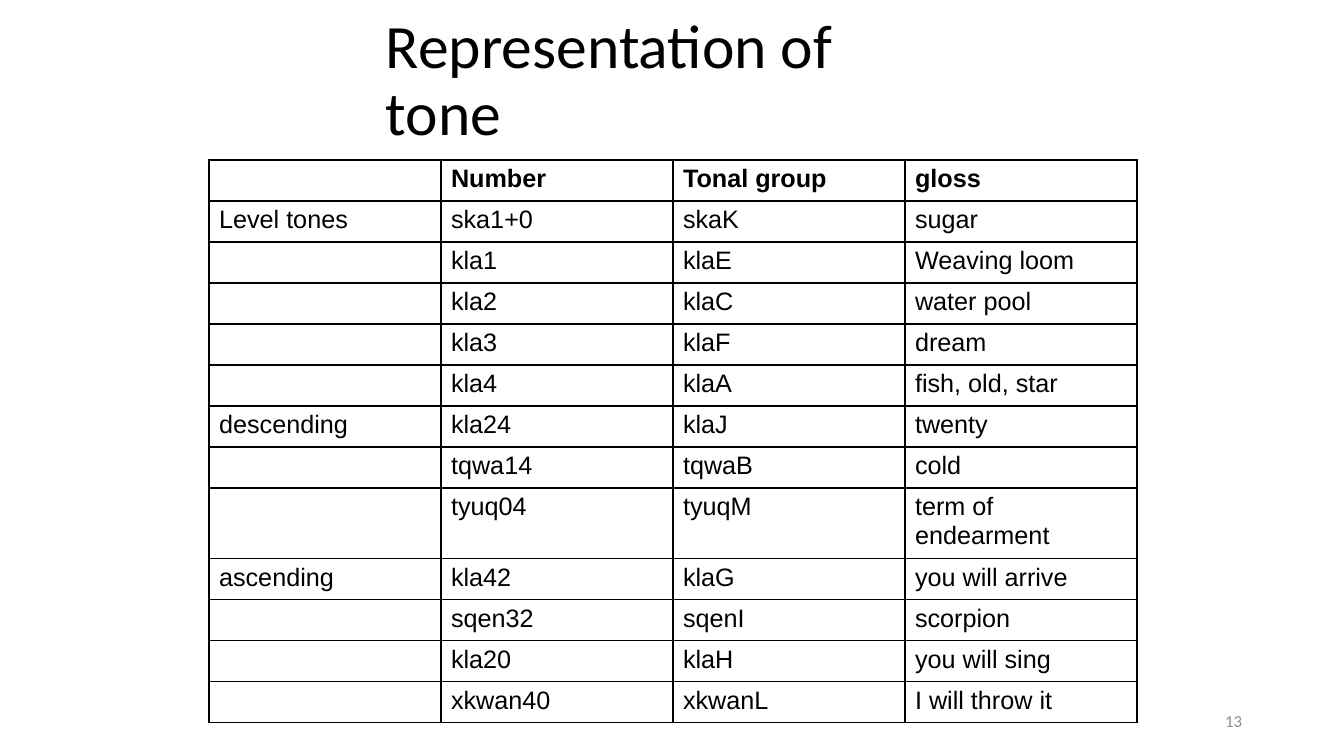
from lxml import etree
from pptx import Presentation
from pptx.dml.color import RGBColor
from pptx.enum.text import MSO_ANCHOR, PP_ALIGN
from pptx.oxml.ns import qn
from pptx.util import Pt

MIDDLE = MSO_ANCHOR.MIDDLE
LEFT, RIGHT = PP_ALIGN.LEFT, PP_ALIGN.RIGHT

TITLE = "Representation of tone"
PAGE_NUMBER = "13"
HEADER = ("", "Number", "Tonal group", "gloss")
TONE_GROUPS = {
    "Level tones": [
        ("ska1+0", "skaK", "sugar"),
        ("kla1", "klaE", "Weaving loom"),
        ("kla2", "klaC", "water pool"),
        ("kla3", "klaF", "dream"),
        ("kla4", "klaA", "fish, old, star"),
    ],
    "descending": [
        ("kla24", "klaJ", "twenty"),
        ("tqwa14", "tqwaB", "cold"),
        ("tyuq04", "tyuqM", "term of endearment"),
    ],
    "ascending": [
        ("kla42", "klaG", "you will arrive"),
        ("sqen32", "sqenI", "scorpion"),
        ("kla20", "klaH", "you will sing"),
        ("xkwan40", "xkwanL", "I will throw it"),
    ],
}

COLORS = {"text": "000000", "border": "000000", "number": "8C8C8C"}
TITLE_FONT = {"name": "Calibri", "size": Pt(44)}
NUMBER_FONT = {"name": "Calibri", "size": Pt(12)}
CELL_FONT = {"name": "Arial", "size": Pt(18)}

SLIDE_SIZE = (1344, 756)
TITLE_BOX = (376, 40, 591, 84)
NUMBER_BOX = (950, 701, 302, 40)
TABLE_LEFT, TABLE_TOP = 209, 160
COLUMN_WIDTH, ROW_HEIGHT = 232, 41
BORDER_WIDTH = Pt(1)


def px(length):
    return round(length * 914400 / 100.8)


def format_font(font, values, color):
    for name, value in values.items():
        setattr(font, name, value)
    font.color.rgb = RGBColor.from_string(COLORS[color])


def add_text(slide, box, text, font_values, color, alignment, line_spacing):
    frame = slide.shapes.add_textbox(*map(px, box)).text_frame
    frame.word_wrap = True
    frame.vertical_anchor = MIDDLE
    paragraph = frame.paragraphs[0]
    paragraph.alignment = alignment
    paragraph.line_spacing = line_spacing
    run = paragraph.add_run()
    run.text = text
    format_font(run.font, font_values, color)


def add_borders(cell):
    properties = cell._tc.get_or_add_tcPr()
    for side in ("a:lnL", "a:lnR", "a:lnT", "a:lnB"):
        line = etree.SubElement(properties, qn(side), w=str(BORDER_WIDTH))
        fill = etree.SubElement(line, qn("a:solidFill"))
        etree.SubElement(fill, qn("a:srgbClr"), val=COLORS["border"])


def add_tone_table(slide):
    rows = [HEADER]
    for group, tones in TONE_GROUPS.items():
        rows += [("" if index else group, *tone) for index, tone in enumerate(tones)]
    width, height = len(HEADER) * COLUMN_WIDTH, len(rows) * ROW_HEIGHT
    table = slide.shapes.add_table(
        len(rows), len(HEADER), *map(px, (TABLE_LEFT, TABLE_TOP, width, height))
    ).table
    table.first_row = True
    table.horz_banding = False
    for column in table.columns:
        column.width = px(COLUMN_WIDTH)
    for row_index, values in enumerate(rows):
        table.rows[row_index].height = px(ROW_HEIGHT)
        for column_index, text in enumerate(values):
            cell = table.cell(row_index, column_index)
            add_borders(cell)
            cell.fill.background()
            paragraph = cell.text_frame.paragraphs[0]
            if text:
                run = paragraph.add_run()
                run.text = text
                format_font(run.font, {**CELL_FONT, "bold": row_index == 0}, "text")


def main():
    presentation = Presentation()
    presentation.slide_width, presentation.slide_height = map(px, SLIDE_SIZE)
    slide = presentation.slides.add_slide(presentation.slide_layouts[6])
    add_text(slide, TITLE_BOX, TITLE, TITLE_FONT, "text", LEFT, 0.9)
    add_tone_table(slide)
    add_text(slide, NUMBER_BOX, PAGE_NUMBER, NUMBER_FONT, "number", RIGHT, 1.0)
    presentation.save("out.pptx")


if __name__ == "__main__":
    main()
